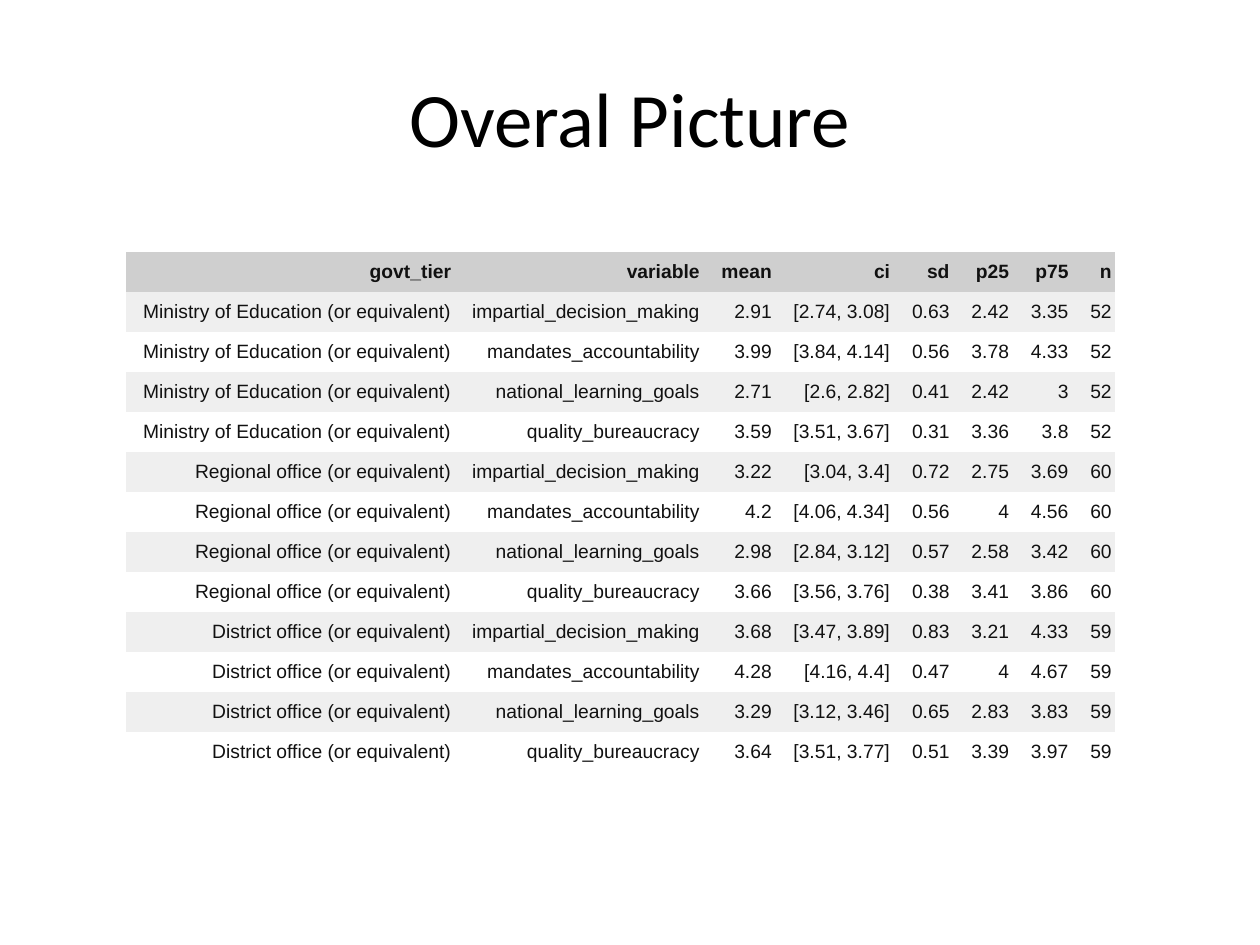
from dataclasses import dataclass
from itertools import product

from pptx import Presentation
from pptx import util as u
from pptx.dml import color
from pptx.enum import text


@dataclass(frozen=True)
class Theme:
    title_font: str = "Calibri"
    table_font: str = "Arial"
    title_size: int = 44
    table_size: int = 11
    title_color: str = "000000"
    table_color: str = "111111"
    header_fill: str = "CFCFCF"
    band_fill: str = "EFEFEF"


THEME = Theme()
PLAIN_TABLE_STYLE = "{2D5ABB26-0587-4C30-8999-92F81FD0307C}"
ROW_HEIGHT = 22.86
CELL_SPACING = 2
COLUMNS = {
    "govt_tier": 187.9, "variable": 142, "mean": 41.2, "ci": 67.6,
    "sd": 34, "p25": 34, "p75": 34, "n": 24.7,
}
TIERS = {"Ministry of Education": "52", "Regional office": "60", "District office": "59"}
VARIABLES = [
    "impartial_decision_making", "mandates_accountability",
    "national_learning_goals", "quality_bureaucracy",
]
STATISTICS = [
    ("2.91", "[2.74, 3.08]", "0.63", "2.42", "3.35"),
    ("3.99", "[3.84, 4.14]", "0.56", "3.78", "4.33"),
    ("2.71", "[2.6, 2.82]", "0.41", "2.42", "3"),
    ("3.59", "[3.51, 3.67]", "0.31", "3.36", "3.8"),
    ("3.22", "[3.04, 3.4]", "0.72", "2.75", "3.69"),
    ("4.2", "[4.06, 4.34]", "0.56", "4", "4.56"),
    ("2.98", "[2.84, 3.12]", "0.57", "2.58", "3.42"),
    ("3.66", "[3.56, 3.76]", "0.38", "3.41", "3.86"),
    ("3.68", "[3.47, 3.89]", "0.83", "3.21", "4.33"),
    ("4.28", "[4.16, 4.4]", "0.47", "4", "4.67"),
    ("3.29", "[3.12, 3.46]", "0.65", "2.83", "3.83"),
    ("3.64", "[3.51, 3.77]", "0.51", "3.39", "3.97"),
]


def summary_rows():
    groups = product(TIERS.items(), VARIABLES)
    return [
        (f"{tier} (or equivalent)", variable, *statistics, count)
        for ((tier, count), variable), statistics in zip(groups, STATISTICS)
    ]


def style_font(font, name, size, rgb, bold=False):
    font.name = name
    font.size = u.Pt(size)
    font.bold = bold
    font.color.rgb = color.RGBColor.from_string(rgb)


def set_title(slide, wording):
    title = slide.shapes.title
    title.left, title.top = u.Pt(36), u.Pt(21.6)
    title.width, title.height = u.Pt(648), u.Pt(90)
    title.text_frame.text = wording
    title.text_frame.vertical_anchor = text.MSO_ANCHOR.MIDDLE
    paragraph = title.text_frame.paragraphs[0]
    paragraph.alignment = text.PP_ALIGN.CENTER
    style_font(paragraph.font, THEME.title_font, THEME.title_size, THEME.title_color)


def fill_cell(cell, value, fill, bold):
    cell.text = value
    cell.vertical_anchor = text.MSO_ANCHOR.MIDDLE
    cell.margin_left = cell.margin_right = cell.margin_top = cell.margin_bottom = 0
    if fill:
        cell.fill.solid()
        cell.fill.fore_color.rgb = color.RGBColor.from_string(fill)
    else:
        cell.fill.background()
    paragraph = cell.text_frame.paragraphs[0]
    paragraph.alignment = text.PP_ALIGN.RIGHT
    paragraph.space_before = paragraph.space_after = u.Pt(CELL_SPACING)
    properties = paragraph._p.get_or_add_pPr()
    for side in ("marL", "marR"):
        properties.set(side, str(u.Pt(CELL_SPACING)))
    style_font(paragraph.font, THEME.table_font, THEME.table_size, THEME.table_color, bold)


def row_fill(index):
    if index == 0:
        return THEME.header_fill
    return THEME.band_fill if index % 2 else None


def add_summary_table(slide, left, top):
    rows = [tuple(COLUMNS), *summary_rows()]
    frame = slide.shapes.add_table(
        len(rows), len(COLUMNS), u.Pt(left), u.Pt(top),
        u.Pt(sum(COLUMNS.values())), u.Pt(ROW_HEIGHT * len(rows)),
    )
    table = frame.table
    table.horz_banding = False
    table._tbl.tblPr.find("{*}tableStyleId").text = PLAIN_TABLE_STYLE
    for column, width in zip(table.columns, COLUMNS.values()):
        column.width = u.Pt(width)
    for index, (row, values) in enumerate(zip(table.rows, rows)):
        row.height = u.Pt(ROW_HEIGHT)
        for cell, value in zip(row.cells, values):
            fill_cell(cell, value, row_fill(index), bold=index == 0)


def main():
    presentation = Presentation()
    presentation.slide_width, presentation.slide_height = u.Pt(720), u.Pt(540)
    slide = presentation.slides.add_slide(presentation.slide_layouts[5])
    set_title(slide, "Overal Picture")
    add_summary_table(slide, left=72, top=144)
    presentation.save("out.pptx")


if __name__ == "__main__":
    main()
